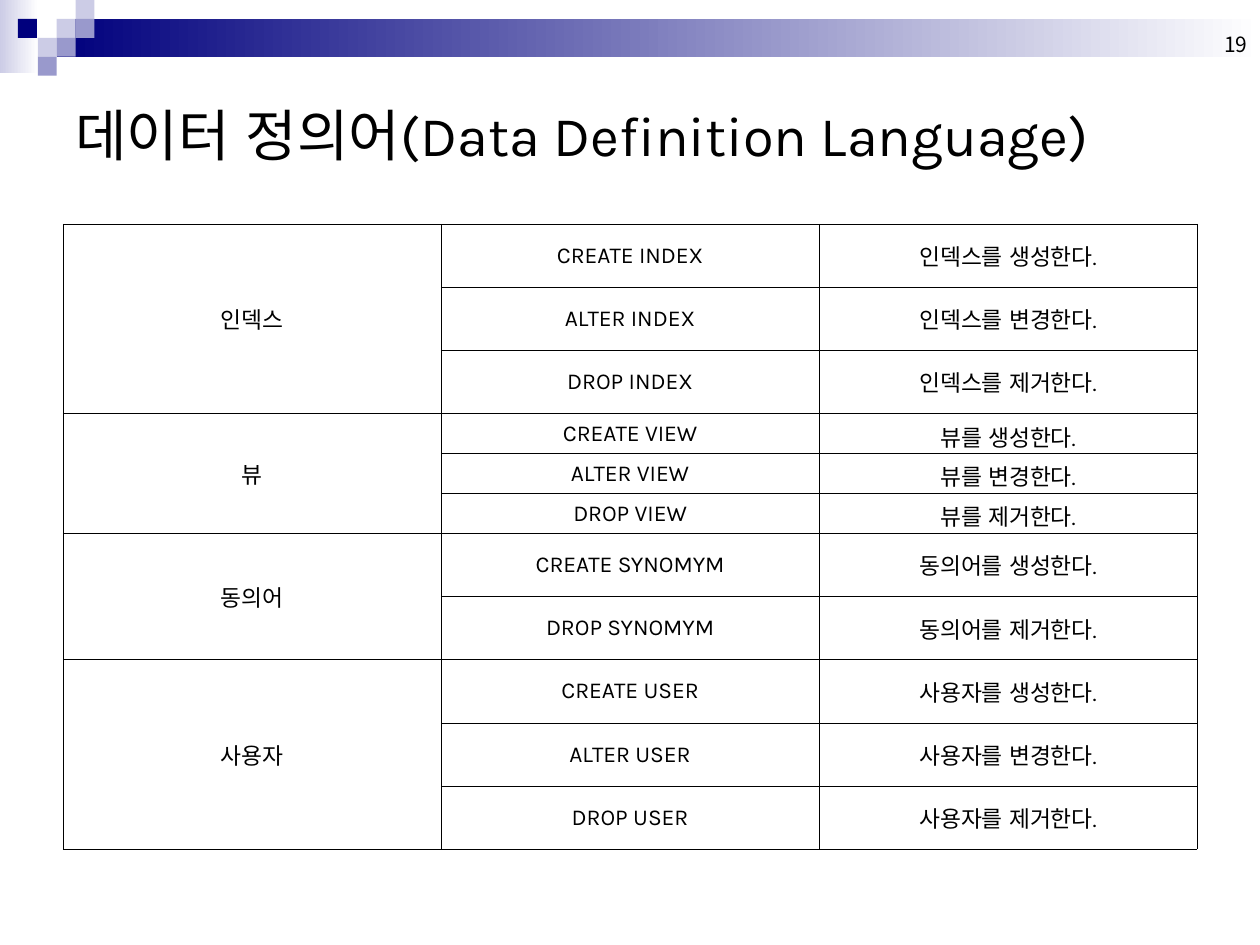
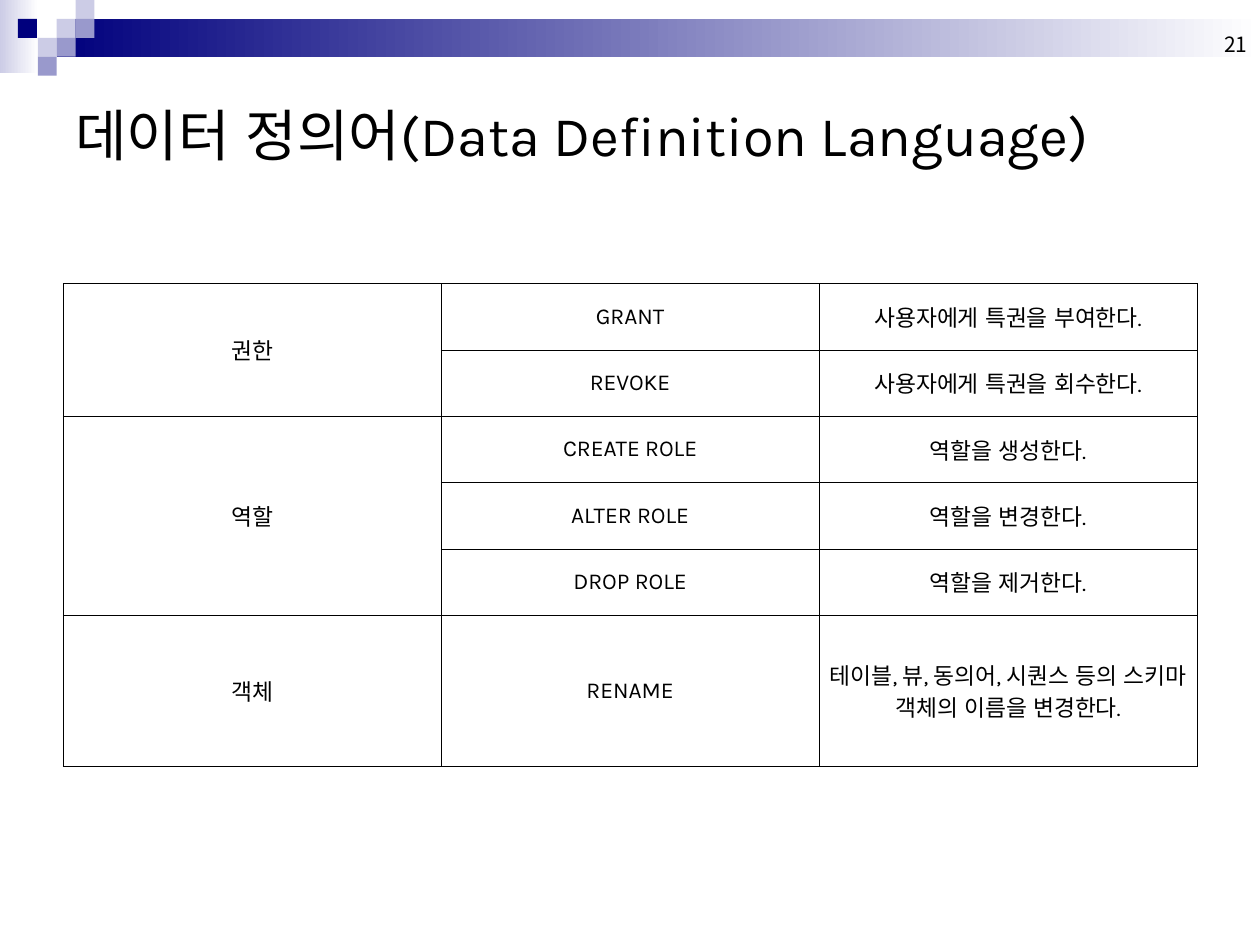
from dataclasses import dataclass
from lxml import etree
from pptx import Presentation
from pptx import util as u
from pptx.dml.color import RGBColor
from pptx.enum import lang, shapes, text
from pptx.oxml import ns

TITLE = "데이터 정의어(Data Definition Language)"

PAGES = [
    {"number": "19", "top": 128, "groups": [
        ("인덱스", 36.1, [
            ("CREATE INDEX", "인덱스를 생성한다."),
            ("ALTER INDEX", "인덱스를 변경한다."),
            ("DROP INDEX", "인덱스를 제거한다.")]),
        ("뷰", 21, [
            ("CREATE VIEW", "뷰를 생성한다."),
            ("ALTER VIEW", "뷰를 변경한다."),
            ("DROP VIEW", "뷰를 제거한다.")]),
        ("동의어", 36.1, [
            ("CREATE SYNOMYM", "동의어를 생성한다."),
            ("DROP SYNOMYM", "동의어를 제거한다.")]),
        ("사용자", 36.1, [
            ("CREATE USER", "사용자를 생성한다."),
            ("ALTER USER", "사용자를 변경한다."),
            ("DROP USER", "사용자를 제거한다.")])]},
    {"number": "21", "top": 162, "groups": [
        ("권한", 37.9, [
            ("GRANT", "사용자에게 특권을 부여한다."),
            ("REVOKE", "사용자에게 특권을 회수한다.")]),
        ("역할", 37.9, [
            ("CREATE ROLE", "역할을 생성한다."),
            ("ALTER ROLE", "역할을 변경한다."),
            ("DROP ROLE", "역할을 제거한다.")]),
        ("객체", 86.4, [
            ("RENAME", "테이블, 뷰, 동의어, 시퀀스 등의 스키마 객체의 이름을 변경한다.")])]},
]


@dataclass(frozen=True)
class Theme:
    navy: str = "00007D"
    mid: str = "9999CC"
    pale: str = "CCCCE6"
    white: str = "FFFFFF"
    black: str = "000000"
    body_font: str = "Karla"
    korean_font: str = "Noto Sans CJK KR"
    title_size: float = 32
    cell_size: float = 13
    number_size: float = 12
    border: float = 0.34


THEME = Theme()
WIDTH, HEIGHT = 720, 540
MARGIN = 36
COLUMN = (WIDTH - 2 * MARGIN) / 3
TILE = 10.8
TILES = [
    (3, 1, THEME.pale), (4, 0, THEME.pale), (4, 1, THEME.mid),
    (2, 2, THEME.pale), (0.95, 1, THEME.navy), (3, 2, THEME.mid),
    (2, 3, THEME.mid),
]


def rgb(value):
    return RGBColor.from_string(value)


def points(*values):
    return [u.Pt(value) for value in values]


def add_block(group, place, color, fade_to=None):
    block = group.shapes.add_shape(shapes.MSO_SHAPE.RECTANGLE, *points(*place))
    block.shadow.inherit = False
    block.line.fill.background()
    if fade_to:
        block.fill.gradient()
        block.fill.gradient_angle = 0
        for stop, shade in zip(block.fill.gradient_stops, (color, fade_to)):
            stop.color.rgb = rgb(shade)
    else:
        block.fill.solid()
        block.fill.fore_color.rgb = rgb(color)


def add_header(page):
    group = page.shapes.add_group_shape()
    add_block(group, (0, 0, 22, 42), THEME.pale, THEME.white)
    add_block(group, (3 * TILE, TILE, WIDTH - 3 * TILE, 2 * TILE), THEME.navy, THEME.white)
    for column, row, color in TILES:
        add_block(group, (column * TILE, row * TILE, TILE, TILE), color)


def write(frame, words, size, name, align):
    para = frame.paragraphs[0]
    para.alignment = align
    para.font.size = u.Pt(size)
    para.font.name = name
    para.font.color.rgb = rgb(THEME.black)
    span = para.add_run()
    span.text = words
    span.font.language_id = lang.MSO_LANGUAGE_ID.KOREAN
    east_asian = etree.SubElement(span.font._element, ns.qn("a:ea"))
    east_asian.set("typeface", THEME.korean_font)


def add_label(page, place, words, size, name, align, anchor):
    box = page.shapes.add_textbox(*points(*place))
    box.text_frame.word_wrap = True
    box.text_frame.vertical_anchor = anchor
    write(box.text_frame, words, size, name, align)


def style_cell(cell):
    cell.fill.background()
    cell.vertical_anchor = text.MSO_ANCHOR.MIDDLE
    cell.margin_left = cell.margin_right = u.Pt(3)
    cell.margin_top = cell.margin_bottom = u.Pt(3.6)
    properties = cell._tc.get_or_add_tcPr()
    for index, side in enumerate("LRTB"):
        line = etree.Element(ns.qn(f"a:ln{side}"), w=str(u.Pt(THEME.border)))
        fill = etree.SubElement(line, ns.qn("a:solidFill"))
        etree.SubElement(fill, ns.qn("a:srgbClr"), val=THEME.black)
        properties.insert(index, line)


def add_commands(page, top, groups):
    heights = [height for _, height, commands in groups for _ in commands]
    frame = page.shapes.add_table(
        len(heights), 3, *points(MARGIN, top, 3 * COLUMN, sum(heights)))
    table = frame.table
    table.first_row = table.horz_banding = False
    for column in table.columns:
        column.width = u.Pt(COLUMN)
    for row, height in zip(table.rows, heights):
        row.height = u.Pt(height)
    for cell in table.iter_cells():
        style_cell(cell)

    def fill_cell(row, column, words):
        write(table.cell(row, column).text_frame, words, THEME.cell_size,
              THEME.body_font, text.PP_ALIGN.CENTER)

    start = 0
    for target, _, commands in groups:
        end = start + len(commands)
        if len(commands) > 1:
            table.cell(start, 0).merge(table.cell(end - 1, 0))
        fill_cell(start, 0, target)
        for row, (command, meaning) in enumerate(commands, start):
            fill_cell(row, 1, command)
            fill_cell(row, 2, meaning)
        start = end


def main():
    deck = Presentation()
    deck.slide_width, deck.slide_height = points(WIDTH, HEIGHT)
    for content in PAGES:
        page = deck.slides.add_slide(deck.slide_layouts[6])
        add_header(page)
        add_label(page, (552, 0, 168, 36), content["number"], THEME.number_size,
                  THEME.korean_font, text.PP_ALIGN.RIGHT, text.MSO_ANCHOR.BOTTOM)
        add_label(page, (MARGIN, 36, 3 * COLUMN, 81), TITLE, THEME.title_size,
                  THEME.body_font, text.PP_ALIGN.LEFT, text.MSO_ANCHOR.MIDDLE)
        add_commands(page, content["top"], content["groups"])
    deck.save("out.pptx")


if __name__ == "__main__":
    main()
